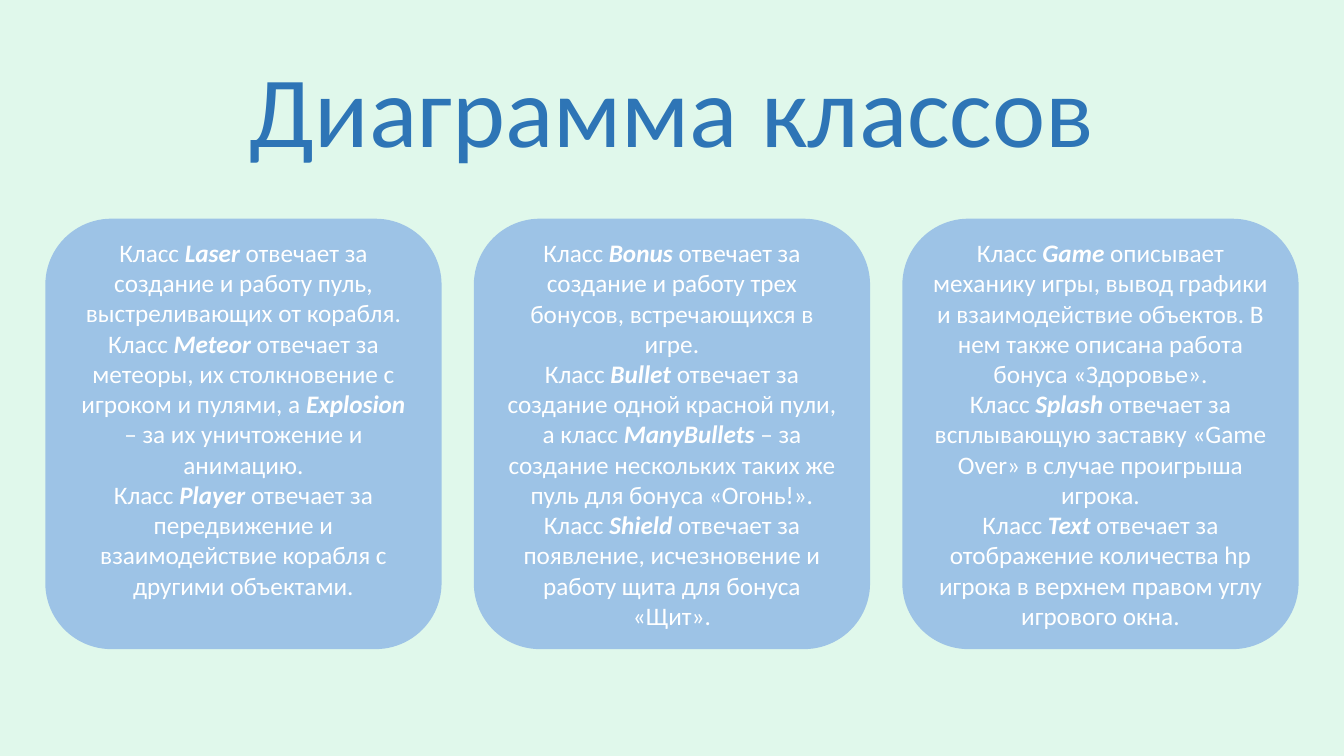
from pptx import Presentation, util as u
from pptx.dml.color import RGBColor
from pptx.enum import shapes, text

HEADING = "Диаграмма классов"
CARDS = [
    [
        "Класс *Laser* отвечает за создание и работу пуль, выстреливающих от корабля.",
        "Класс *Meteor* отвечает за метеоры, их столкновение с игроком и пулями, "
        "а *Explosion* – за их уничтожение и анимацию.",
        "Класс *Player* отвечает за передвижение и взаимодействие корабля с другими объектами.",
    ],
    [
        "Класс *Bonus* отвечает за создание и работу трех бонусов, встречающихся в игре.",
        "Класс *Bullet* отвечает за создание одной красной пули, а класс *ManyBullets* "
        "– за создание нескольких таких же пуль для бонуса «Огонь!».",
        "Класс *Shield* отвечает за появление, исчезновение и работу щита для бонуса «Щит».",
    ],
    [
        "Класс *Game* описывает механику игры, вывод графики и взаимодействие объектов. "
        "В нем также описана работа бонуса «Здоровье».",
        "Класс *Splash* отвечает за всплывающую заставку «Game Over» в случае проигрыша игрока.",
        "Класс *Text* отвечает за отображение количества hp игрока в верхнем правом углу "
        "игрового окна.",
    ],
]
BOTTOM_INSETS = [0.35, 0.05, 0.05]
MINT, BLUE, SKY, WHITE = "E0F8EB", "2E75B6", "9DC3E6", "FFFFFF"
WIDTH, HEIGHT = 13.33, 7.5
MARGIN, GAP = 0.45, 0.32
CARD_TOP, CARD_HEIGHT = 2.17, 4.27
CARD_WIDTH = (WIDTH - 2 * MARGIN - GAP * (len(CARDS) - 1)) / len(CARDS)


def paint(fill, color):
    fill.solid()
    fill.fore_color.rgb = RGBColor.from_string(color)


def write(frame, paragraphs, size, color, wrap=True, anchor=text.MSO_ANCHOR.TOP):
    frame.word_wrap = wrap
    frame.vertical_anchor = anchor
    for number, content in enumerate(paragraphs):
        line = frame.add_paragraph() if number else frame.paragraphs[0]
        line.alignment = text.PP_ALIGN.CENTER
        for part, piece in enumerate(content.split("*")):
            run = line.add_run()
            run.text = piece
            run.font.name = "Calibri"
            run.font.size = u.Pt(size)
            run.font.color.rgb = RGBColor.from_string(color)
            run.font.bold = run.font.italic = part % 2 == 1


def main():
    deck = Presentation()
    deck.slide_width, deck.slide_height = u.Inches(WIDTH), u.Inches(HEIGHT)
    slide = deck.slides.add_slide(deck.slide_layouts[6])
    paint(slide.background.fill, MINT)

    heading_width = WIDTH * 0.65
    heading = slide.shapes.add_textbox(
        u.Inches((WIDTH - heading_width) / 2), u.Inches(0.41),
        u.Inches(heading_width), u.Inches(1.31))
    write(heading.text_frame, [HEADING], size=72, color=BLUE, wrap=False)

    for column, (classes, inset) in enumerate(zip(CARDS, BOTTOM_INSETS)):
        card = slide.shapes.add_shape(
            shapes.MSO_SHAPE.ROUNDED_RECTANGLE,
            u.Inches(MARGIN + column * (CARD_WIDTH + GAP)), u.Inches(CARD_TOP),
            u.Inches(CARD_WIDTH), u.Inches(CARD_HEIGHT))
        card.shadow.inherit = False
        paint(card.fill, SKY)
        card.line.fill.background()
        card.text_frame.margin_bottom = u.Inches(inset)
        write(card.text_frame, classes, size=18, color=WHITE, anchor=text.MSO_ANCHOR.MIDDLE)

    deck.save("out.pptx")


if __name__ == "__main__":
    main()
